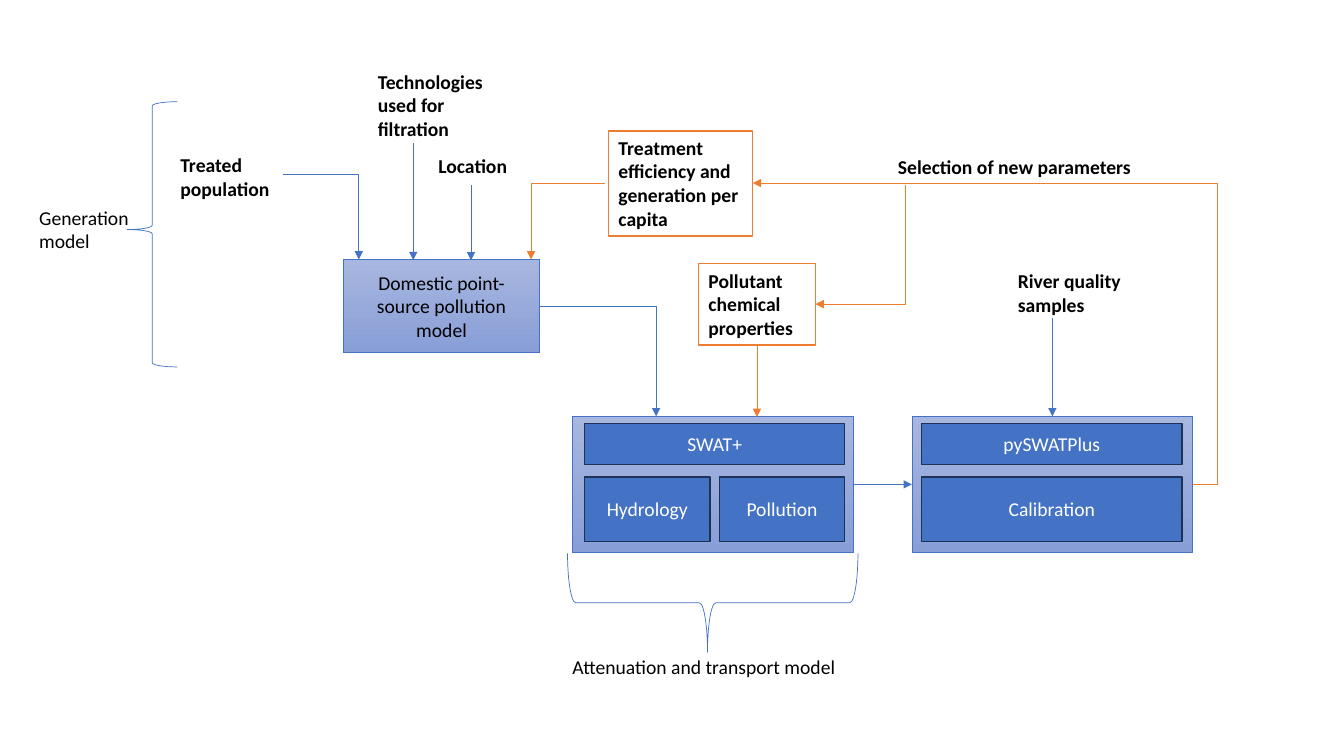
from lxml import etree
from pptx import Presentation
from pptx.dml.color import RGBColor
from pptx.enum.shapes import MSO_CONNECTOR, MSO_SHAPE
from pptx.enum.text import MSO_ANCHOR, PP_ALIGN
from pptx.oxml.ns import qn
from pptx.util import Pt

RECTANGLE, BRACE = MSO_SHAPE.RECTANGLE, MSO_SHAPE.LEFT_BRACE
STRAIGHT, ELBOW = MSO_CONNECTOR.STRAIGHT, MSO_CONNECTOR.ELBOW
TOP, MIDDLE = MSO_ANCHOR.TOP, MSO_ANCHOR.MIDDLE
LEFT, CENTER = PP_ALIGN.LEFT, PP_ALIGN.CENTER

BLUE, NAVY, ORANGE = "4472C4", "1E3256", "ED7D31"
BLACK, WHITE = "000000", "FFFFFF"
GRADIENT = ("A8B7DF", "889ED7")


def color(value):
    return RGBColor.from_string(value)


def write(shape, text, size=14, bold=False, ink=BLACK, align=LEFT, anchor=TOP):
    frame = shape.text_frame
    frame.word_wrap = True
    frame.vertical_anchor = anchor
    frame.text = text
    for paragraph in frame.paragraphs:
        paragraph.alignment = align
        font = paragraph.font
        font.name, font.size, font.bold = "Calibri", Pt(size), bold
        font.color.rgb = color(ink)


class Diagram:
    def __init__(self, slide):
        self.slide = slide

    def outline(self, shape, line, width):
        shape.line.color.rgb = color(line)
        shape.line.width = Pt(width)

    def shape(self, kind, box, line, width):
        shape = self.slide.shapes.add_shape(kind, *map(Pt, box))
        shape.shadow.inherit = False
        self.outline(shape, line, width)
        return shape

    def frame(self, *box):
        shape = self.shape(RECTANGLE, box, BLUE, 0.5)
        shape.fill.gradient()
        shape.fill.gradient_angle = 270
        for stop, value in zip(shape.fill.gradient_stops, GRADIENT):
            stop.color.rgb = color(value)
        return shape

    def module(self, text, *box):
        shape = self.shape(RECTANGLE, box, NAVY, 1)
        shape.fill.solid()
        shape.fill.fore_color.rgb = color(BLUE)
        write(shape, text, ink=WHITE, align=CENTER, anchor=MIDDLE)

    def parameter(self, text, *box):
        shape = self.shape(RECTANGLE, box, ORANGE, 1)
        shape.fill.solid()
        shape.fill.fore_color.rgb = color(WHITE)
        write(shape, text, bold=True)

    def label(self, text, *box, bold=True):
        write(self.slide.shapes.add_textbox(*map(Pt, box)), text, bold=bold)

    def brace(self, *box, rotation=0):
        shape = self.shape(BRACE, box, BLUE, 0.5)
        shape.fill.background()
        shape.adjustments[1] = 0.482
        shape.rotation = rotation

    def arrow(self, *ends, line=BLUE, kind=STRAIGHT, arrowhead="tailEnd"):
        connector = self.slide.shapes.add_connector(kind, *map(Pt, ends))
        self.outline(connector, line, 0.5)
        properties = connector._element.spPr
        etree.SubElement(properties.find(qn("a:ln")), qn("a:" + arrowhead), type="triangle")
        etree.SubElement(properties, qn("a:effectLst"))
        return properties.find(qn("a:prstGeom"))

    def corner(self, *ends, **style):
        """Arrow that runs sideways first, then turns once."""
        self.arrow(*ends, kind=ELBOW, **style).set("prst", "bentConnector2")

    def loop(self, *ends, bend, **style):
        """Arrow with two turns; bend is the share of the width at the turn."""
        geometry = self.arrow(*ends, kind=ELBOW, **style)
        guides = geometry.find(qn("a:avLst"))
        if guides is None:
            guides = etree.SubElement(geometry, qn("a:avLst"))
        etree.SubElement(guides, qn("a:gd"), name="adj1", fmla=f"val {round(bend * 100000)}")


def main():
    presentation = Presentation()
    presentation.slide_width, presentation.slide_height = Pt(960), Pt(540)
    slide = presentation.slides.add_slide(presentation.slide_layouts[6])
    diagram = Diagram(slide)

    # Generation model
    domestic = diagram.frame(245.2, 185.3, 140.4, 66.6)
    write(domestic, "Domestic point-source pollution\nmodel", align=CENTER, anchor=MIDDLE)
    diagram.brace(90.7, 72.7, 36, 189.4)
    diagram.label("Generation model", 20.9, 143.3, 80.6, 41, bold=False)

    # Inputs of the generation model
    diagram.label("Treated population", 121.7, 106, 80.6, 36.7)
    diagram.label("Technologies used for filtration", 262.8, 46.2, 92.2, 58.3)
    diagram.label("Location", 306, 106.6, 66.2, 24.5)
    diagram.corner(202.3, 124.6, 256.3, 185.3)
    diagram.arrow(295.2, 102.2, 295.2, 185.8)
    diagram.arrow(336.5, 132.5, 336.5, 186)

    # Attenuation and transport model, then calibration
    frame_top, frame_width, frame_height = 297.4, 200.5, 97.2
    title_top, title_height = 302.4, 29.5
    module_top, module_height, module_width = 340.6, 46.1, 185.8
    for title, left, inset, parts in (
        ("SWAT+", 408.8, 8.8, ("Hydrology", "Pollution")),
        ("pySWATPlus", 651.4, 7, ("Calibration",)),
    ):
        diagram.frame(left, frame_top, frame_width, frame_height)
        diagram.module(title, left + inset, title_top, module_width, title_height)
        gap = 6.6
        part_width = (module_width - gap * (len(parts) - 1)) / len(parts)
        for index, part in enumerate(parts):
            part_left = left + inset + index * (part_width + gap)
            diagram.module(part, part_left, module_top, part_width, module_height)
    diagram.brace(473.8, 326.9, 70.6, 207.4, rotation=270)
    diagram.label("Attenuation and transport model", 401.8, 464.4, 214.6, 24.5, bold=False)
    diagram.corner(385.6, 218.9, 468.7, 297.4)
    diagram.arrow(609.3, 346, 651.4, 346)

    # Calibrated parameters
    diagram.parameter("Treatment efficiency and generation per capita", 434.7, 93.5, 103, 75)
    diagram.parameter("Pollutant chemical properties", 499, 188.4, 83.5, 58.2)
    diagram.corner(432, 130.8, 379.4, 185.3, line=ORANGE)
    diagram.arrow(540.7, 246.6, 540.7, 297.8, line=ORANGE)

    # River samples and feedback
    diagram.label("River quality samples", 720, 188.6, 93.6, 41)
    diagram.arrow(751.7, 227.5, 751.7, 297.4)
    diagram.label("Selection of new parameters", 634.3, 107.3, 193, 24.5)
    diagram.loop(851.9, 346, 537.7, 130.8, bend=-0.057, line=ORANGE)
    diagram.corner(582.5, 217.3, 646.9, 132.5, line=ORANGE, arrowhead="headEnd")

    presentation.save("out.pptx")


if __name__ == "__main__":
    main()
